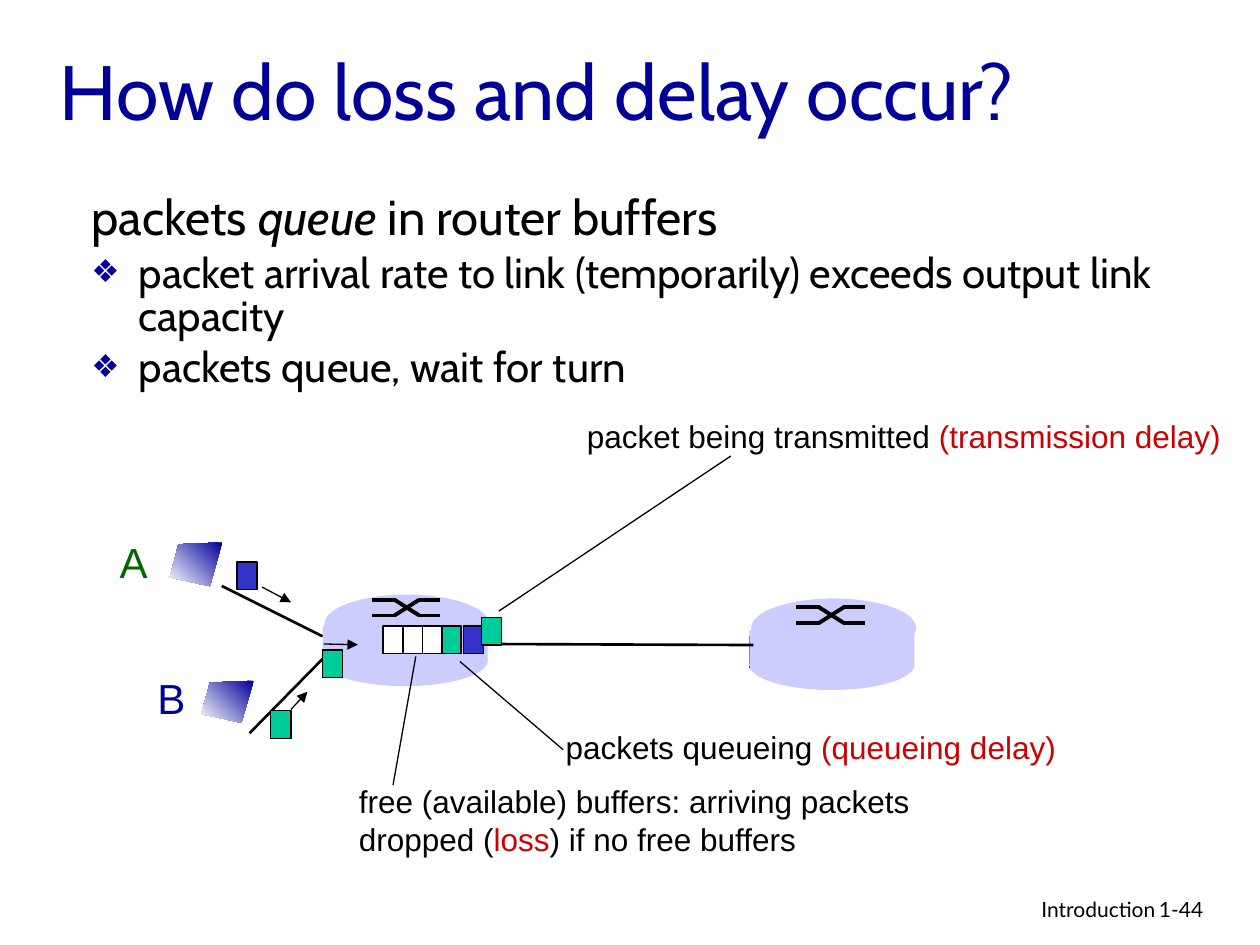
from lxml import etree
from pptx import Presentation
from pptx.dml.color import RGBColor
from pptx.enum.shapes import MSO_CONNECTOR as LINK, MSO_SHAPE as SHAPE
from pptx.enum.text import MSO_ANCHOR as ANCHOR, MSO_AUTO_SIZE as FIT, PP_ALIGN as ALIGN
from pptx.oxml.ns import qn
from pptx.util import Pt

rgb = RGBColor.from_string
BLACK, NAVY, RED, GREEN = "000000", "000099", "CC0000", "006600"
LILAC, BLUE, TEAL, WHITE = "CCCCFF", "3333CC", "00CC99", "FFFFFF"

deck = Presentation()
deck.slide_width, deck.slide_height = Pt(720), Pt(540)
slide = deck.slides.add_slide(deck.slide_layouts[1])
shapes = slide.shapes


def add_box(kind, x, y, w, h, fill, edge=None):
    box = shapes.add_shape(kind, Pt(x), Pt(y), Pt(w), Pt(h))
    box.shadow.inherit = False
    box.fill.solid()
    box.fill.fore_color.rgb = rgb(fill)
    if edge:
        box.line.color.rgb = rgb(edge)
        box.line.width = Pt(0.75)
    else:
        box.line.fill.background()


def add_line(x1, y1, x2, y2, width, arrow=False):
    line = shapes.add_connector(LINK.STRAIGHT, Pt(x1), Pt(y1), Pt(x2), Pt(y2))
    line.line.color.rgb = rgb(BLACK)
    line.line.width = Pt(width)
    props = line.element.spPr
    if arrow:
        etree.SubElement(props.find(qn("a:ln")), qn("a:tailEnd"), type="triangle")
    etree.SubElement(props, qn("a:effectLst"))


# Title
title = shapes.title
title.left, title.top, title.width, title.height = Pt(27), Pt(6.5), Pt(612), Pt(90)
frame = title.text_frame
frame.text = "How do loss and delay occur?"
frame.vertical_anchor = ANCHOR.MIDDLE
frame.auto_size = FIT.NONE
para = frame.paragraphs[0]
para.alignment = ALIGN.LEFT
para.font.size, para.font.name = Pt(44), "Cabin"
para.font.color.rgb = rgb(NAVY)

# Body list: heading line, then bullets
body = slide.placeholders[1]
body.left, body.top, body.width, body.height = Pt(45), Pt(108), Pt(675), Pt(166)
frame = body.text_frame
frame.auto_size = FIT.NONE
points = [
    ["packets ", "queue", " in router buffers"],
    ["packet arrival rate to link (temporarily) exceeds output link capacity"],
    ["packets queue, wait for turn"],
]
for i, parts in enumerate(points):
    para = frame.add_paragraph() if i else frame.paragraphs[0]
    props = para._p.get_or_add_pPr()
    props.set("marL", str(Pt(27)))
    props.set("indent", str(-Pt(27)))
    if i:
        tint = etree.SubElement(props, qn("a:buClr"))
        etree.SubElement(tint, qn("a:srgbClr"), val=NAVY)
        etree.SubElement(props, qn("a:buSzPct"), val="75000")
        etree.SubElement(props, qn("a:buChar"), char="❖")
    else:
        etree.SubElement(props, qn("a:buNone"))
    para.line_spacing = 0.85
    para.space_before = Pt(5 if i else 0)
    for part in parts:
        run = para.add_run()
        run.text = part
        run.font.size, run.font.name = Pt(24 if i else 28), "Cabin"
        run.font.color.rgb = rgb(BLACK)
        run.font.italic = part == "queue"

# Routers
add_line(428.4, 363.6, 428.4, 381.6, 1)
for x, y in [(184.3, 339.8), (428.2, 342)]:
    add_box(SHAPE.OVAL, x, y + 23.5, 94.3, 28.8, LILAC)
    add_box(SHAPE.RECTANGLE, x, y + 18, 94.3, 20.9, LILAC)
    add_box(SHAPE.OVAL, x + 1, y, 94.3, 33.8, LILAC)

# Crossed switch symbols
for x, y in [(212.4, 342.7), (455, 347)]:
    for top, far in [(0, 9), (9, 0)]:
        add_line(x, y + top, x + 13.7, y + top, 2.25)
        add_line(x + 26.8, y + top, x + 39.2, y + top, 2.25)
        add_line(x + 13, y + top, x + 27.2, y + far, 2.25)

# Links
add_line(126.7, 334.8, 184.3, 363.6, 1.5)
add_line(142.6, 419, 184.3, 376.6, 1.5)
add_line(278, 368, 430.5, 368.6, 1.5)

# Packets on the way, in the queue, and free buffers
for x, y, fill in [
    (252, 357.8, TEAL), (265, 357.8, BLUE), (184.3, 371.5, TEAL), (275, 352.8, TEAL),
    (135.4, 321.1, BLUE), (154.8, 406.1, TEAL),
    (241.2, 357.8, WHITE), (229.9, 357.8, WHITE), (218.9, 357.8, WHITE),
]:
    add_box(SHAPE.RECTANGLE, x, y, 11.5, 15.8, fill, BLACK)

# Direction arrows
for ends in [(185, 368, 204.5, 368.4), (166.3, 405.4, 175.7, 395.3),
             (149.8, 335.5, 166.3, 344.2)]:
    add_line(*ends, 0.75, arrow=True)

# Label pointers
for ends in [(417.6, 260.6, 285.1, 349.2), (321.8, 428.4, 262.8, 378),
             (224.6, 448.6, 237.6, 375.1)]:
    add_line(*ends, 0.75)

# Hosts
for x, y in [(97.2, 310.3), (115.4, 388.8)]:
    pen = shapes.build_freeform(x + 29.7, y, scale=Pt(1))
    pen.add_line_segments([(x + 4.3, y + 0.7), (x, y + 19.4), (x + 23, y + 24.5)])
    host = pen.convert_to_shape()
    host.shadow.inherit = False
    host.line.fill.background()
    host.fill.gradient()
    host.fill.gradient_angle = 225
    for stop, tint in zip(host.fill.gradient_stops, [NAVY, WHITE]):
        stop.color.rgb = rgb(tint)
    host.fill.gradient_stops[0].position = 0
    host.fill.gradient_stops[1].position = 1

# Labels and footer: place, font, size, wrap, alignment, lines of (text, colour)
labels = [
    (61.2, 303.1, 30.2, 36, "Arial", 24, False, ALIGN.LEFT, [[("A", GREEN)]]),
    (82.8, 380.9, 30.2, 36, "Arial", 24, False, ALIGN.LEFT, [[("B", NAVY)]]),
    (328.3, 234.7, 380.2, 28.8, "Arial", 18, False, ALIGN.LEFT,
     [[("packet being transmitted ", BLACK), ("(transmission delay)", RED)]]),
    (316.1, 412.6, 297.4, 28.8, "Arial", 18, False, ALIGN.LEFT,
     [[("packets queueing ", BLACK), ("(queueing delay)", RED)]]),
    (198, 443.5, 334.8, 50.4, "Arial", 18, False, ALIGN.LEFT,
     [[("free (available) buffers: arriving packets", BLACK)],
      [("dropped (", BLACK), ("loss", RED), (") if no free buffers", BLACK)]]),
    (439.2, 509, 228.2, 22.3, "Lato", 12, True, ALIGN.RIGHT, [[("Introduction", BLACK)]]),
    (655.2, 509, 53.3, 21.6, "Lato", 12, True, ALIGN.LEFT, [[("1-44", BLACK)]]),
]
for x, y, w, h, face, size, wrap, align, rows in labels:
    frame = shapes.add_textbox(Pt(x), Pt(y), Pt(w), Pt(h)).text_frame
    frame.word_wrap = wrap
    frame.auto_size = FIT.NONE if wrap else FIT.SHAPE_TO_FIT_TEXT
    for i, row in enumerate(rows):
        para = frame.add_paragraph() if i else frame.paragraphs[0]
        para.alignment = align
        for words, tint in row:
            run = para.add_run()
            run.text = words
            run.font.size, run.font.name = Pt(size), face
            run.font.color.rgb = rgb(tint)

deck.save("out.pptx")
